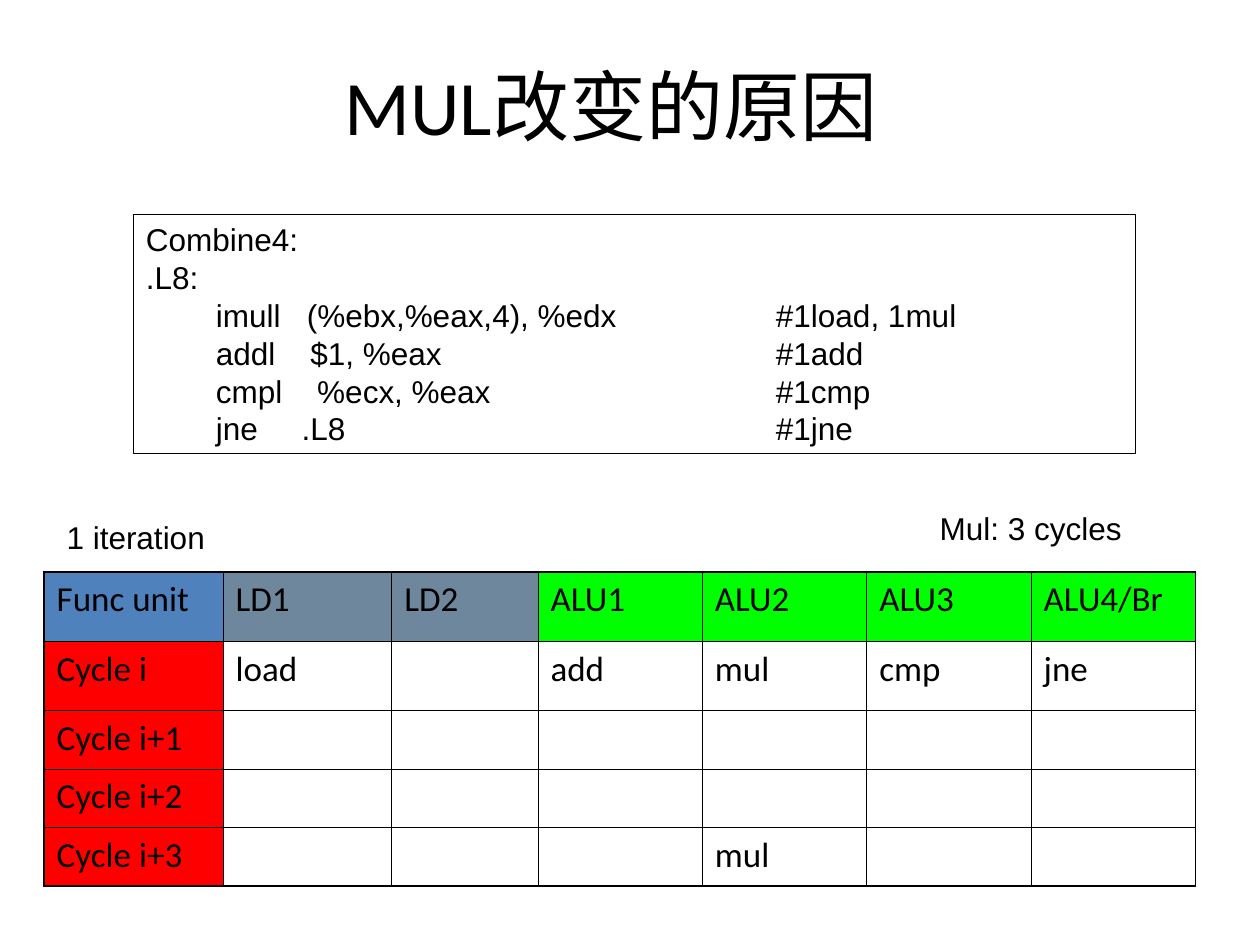
from lxml import etree
from pptx import Presentation
from pptx.dml.color import RGBColor
from pptx.enum.shapes import MSO_SHAPE
from pptx.enum.text import MSO_ANCHOR, MSO_AUTO_SIZE, PP_ALIGN
from pptx.oxml.ns import qn
from pptx.util import Inches, Pt

RECTANGLE = MSO_SHAPE.RECTANGLE
MIDDLE, TOP = MSO_ANCHOR.MIDDLE, MSO_ANCHOR.TOP
GROW = MSO_AUTO_SIZE.SHAPE_TO_FIT_TEXT
LEFT, CENTER = PP_ALIGN.LEFT, PP_ALIGN.CENTER

COLORS = {"ink": "000000", "corner": "4F81BD", "load": "6F879D",
          "alu": "00FF00", "cycle": "FF0000"}
THIN, THICK = 0.45, 1.08
TITLE_ONLY = 5


class SlideWriter:
    """Places elements on a grid of 100 columns by 75 rows."""

    def __init__(self, deck):
        self.unit = deck.slide_width / 100
        self.page = deck.slides.add_slide(deck.slide_layouts[TITLE_ONLY])

    def span(self, *lengths):
        return [round(length * self.unit) for length in lengths]

    def color(self, name):
        return RGBColor.from_string(COLORS[name])

    def style(self, para, size, face, align=LEFT):
        para.alignment = align
        para.font.size = Pt(size)
        para.font.name = face
        para.font.color.rgb = self.color("ink")

    def title(self, text, area):
        box = self.page.shapes.title
        box.left, box.top, box.width, box.height = self.span(*area)
        box.text_frame.text = text
        box.text_frame.vertical_anchor = MIDDLE
        self.style(box.text_frame.paragraphs[0], 44, "Calibri", CENTER)

    def label(self, text, area):
        box = self.page.shapes.add_textbox(*self.span(*area))
        box.text_frame.word_wrap = True
        box.text_frame.auto_size = GROW
        box.text_frame.text = text
        self.style(box.text_frame.paragraphs[0], 18, "Arial")

    def code(self, lines, area):
        box = self.page.shapes.add_shape(RECTANGLE, *self.span(*area))
        box.shadow.inherit = False
        box.fill.background()
        box.line.color.rgb = self.color("ink")
        box.line.width = Pt(0.75)
        frame = box.text_frame
        frame.word_wrap = True
        frame.auto_size = GROW
        frame.vertical_anchor = TOP
        frame.text = "\n".join(lines)
        for para in frame.paragraphs:
            self.tab_stops(para)
            self.style(para, 18, "Arial")

    def tab_stops(self, para):
        tabs = etree.SubElement(para._p.get_or_add_pPr(), qn("a:tabLst"))
        for inch in range(1, 8):
            etree.SubElement(tabs, qn("a:tab"), pos=str(Inches(inch)), algn="l")

    def border(self, cell, side, width):
        line = etree.SubElement(cell._tc.get_or_add_tcPr(), qn(f"a:ln{side}"),
                                w=str(Pt(width)))
        fill = etree.SubElement(line, qn("a:solidFill"))
        etree.SubElement(fill, qn("a:srgbClr"), val=COLORS["ink"])

    def table(self, rows, fills, left, top, widths, heights):
        area = self.span(left, top, sum(widths), sum(heights))
        table = self.page.shapes.add_table(len(rows), len(widths), *area).table
        table.first_row = table.horz_banding = False
        for column, width in zip(table.columns, self.span(*widths)):
            column.width = width
        for row, height in zip(table.rows, self.span(*heights)):
            row.height = height
        last_row, last_column = len(rows) - 1, len(widths) - 1
        for r, texts in enumerate(rows):
            for c, text in enumerate(texts):
                cell = table.cell(r, c)
                outer = {"L": c == 0, "R": c == last_column,
                         "T": r == 0, "B": r == last_row}
                for side, is_outer in outer.items():
                    self.border(cell, side, THICK if is_outer else THIN)
                fill = fills(r, c)
                if fill:
                    cell.fill.solid()
                    cell.fill.fore_color.rgb = self.color(fill)
                else:
                    cell.fill.background()
                cell.text = text
                self.style(cell.text_frame.paragraphs[0], 20, "Calibri")


def unit_fill(row, column):
    if row == 0:
        return ["corner", "load", "load"][column] if column < 3 else "alu"
    return "cycle" if column == 0 else None


def main():
    deck = Presentation()
    deck.slide_width, deck.slide_height = Inches(10), Inches(7.5)
    writer = SlideWriter(deck)

    writer.title("MUL改变的原因", (3.5, 2.1, 90, 12.5))

    # Schedule of the functional units
    schedule = [
        ["Func unit", "LD1", "LD2", "ALU1", "ALU2", "ALU3", "ALU4/Br"],
        ["Cycle i", "load", "", "add", "mul", "cmp", "jne"],
        ["Cycle i+1"] + [""] * 6,
        ["Cycle i+2"] + [""] * 6,
        ["Cycle i+3", "", "", "", "mul", "", ""],
    ]
    widths = [14.2, 13.4, 11.6] + [13.05] * 4
    heights = [5.5] * 2 + [4.63] * 3
    writer.table(schedule, unit_fill, 3.5, 45.4, widths, heights)

    # Assembly listing
    writer.code([
        "Combine4:",
        ".L8:",
        "        imull   (%ebx,%eax,4), %edx\t\t#1load, 1mul",
        "        addl    $1, %eax\t\t\t#1add",
        "        cmpl    %ecx, %eax\t\t\t#1cmp",
        "        jne     .L8\t\t\t\t#1jne",
    ], (10.6, 17, 79.5, 19))

    # Captions above the schedule
    writer.label("1 iteration", (4.3, 40.6, 15.7, 4))
    writer.label("Mul: 3 cycles", (73.6, 39.9, 20.5, 4))

    deck.save("out.pptx")


if __name__ == "__main__":
    main()
